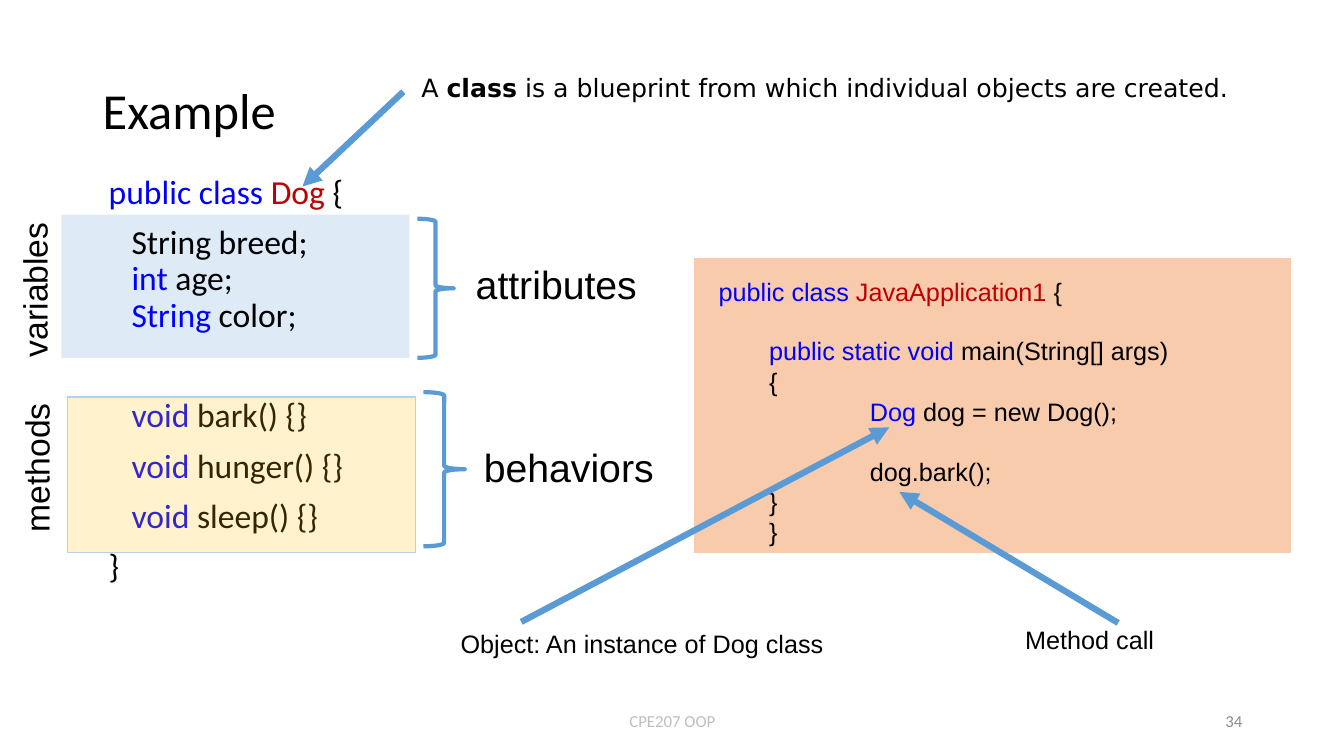
from lxml import etree
from pptx import Presentation
from pptx.dml.color import RGBColor
from pptx.enum.shapes import MSO_CONNECTOR as Connector, MSO_SHAPE as Shape
from pptx.enum.text import MSO_ANCHOR as Anchor, PP_ALIGN as Align
from pptx.oxml.ns import qn
from pptx.util import Emu, Pt

PX = 9144  # 100 px to the inch
BLACK, KEYWORD, NAME, ACCENT = "000000", "0000FF", "C00000", "5B9BD5"


def px(*lengths):
    return [Emu(length * PX) for length in lengths]


def paint(target, colour):
    target.rgb = RGBColor.from_string(colour)


def add_text(slide, place, lines, size=18, font="Arial", colour=BLACK, align=Align.LEFT,
             anchor=Anchor.TOP, spacing=1.0, wrap=True, rotation=0):
    """Each line is a string, or a dict with spans, before (pt) and indent (px).

    A span is a string, or a tuple of text, colour and optional bold.
    """
    box = slide.shapes.add_textbox(*px(*place))
    box.rotation = rotation
    frame = box.text_frame
    frame.word_wrap = wrap
    frame.vertical_anchor = anchor
    for index, line in enumerate([lines] if isinstance(lines, str) else lines):
        if isinstance(line, str):
            line = {"spans": [line]}
        para = frame.paragraphs[0] if index == 0 else frame.add_paragraph()
        para.alignment = align
        para.line_spacing = spacing
        para.space_before = Pt(line.get("before", 0))
        if "indent" in line:
            properties = para._p.get_or_add_pPr()
            properties.set("marL", str(line["indent"] * PX))
            properties.set("indent", "0")
        for part in line["spans"]:
            text, tint, bold = ((part, colour) if isinstance(part, str) else part)[:2] + (
                len(part) == 3 and not isinstance(part, str),)
            span = para.add_run()
            span.text = text
            span.font.size = Pt(size)
            span.font.name = font
            span.font.bold = bold
            paint(span.font.color, tint)


def add_shape(slide, kind, place, fill=None, opacity=100, line=None, width=1):
    shape = slide.shapes.add_shape(kind, *px(*place))
    shape.shadow.inherit = False
    if fill:
        shape.fill.solid()
        paint(shape.fill.fore_color, fill)
        if opacity < 100:
            tint = shape.fill._xPr.find(f".//{qn('a:srgbClr')}")
            etree.SubElement(tint, qn("a:alpha"), val=str(opacity * 1000))
    else:
        shape.fill.background()
    if line:
        paint(shape.line.color, line)
        shape.line.width = Pt(width)
    else:
        shape.line.fill.background()


def add_arrow(slide, *ends):
    arrow = slide.shapes.add_connector(Connector.STRAIGHT, *px(*ends))
    paint(arrow.line.color, ACCENT)
    arrow.line.width = Pt(4.5)
    etree.SubElement(arrow.line._get_or_add_ln(), qn("a:tailEnd"), type="triangle")
    etree.SubElement(arrow._element.spPr, qn("a:effectLst"))


def method_line(name, before):
    return {"spans": [("   void", KEYWORD), f" {name}() {{}}"], "before": before}


def main():
    deck = Presentation()
    deck.slide_width, deck.slide_height = px(1333, 750)
    slide = deck.slides.add_slide(deck.slide_layouts[6])

    # Panels behind the code
    add_shape(slide, Shape.RECTANGLE, (688, 255, 593, 294), "F8CBAD", line="FFFFFF")
    add_shape(slide, Shape.RECTANGLE, (61, 213, 345, 142), ACCENT, opacity=20)

    # Title and definition
    add_text(slide, (92, 40, 1150, 145), "Example", size=36, font="Calibri",
             anchor=Anchor.MIDDLE, spacing=0.9)
    add_text(slide, (408, 67, 875, 40),
             [{"spans": ["A ", ("class", BLACK, True),
                         " is a blueprint from which individual objects are created."]}],
             font="DejaVu Sans")

    # Dog class
    add_text(slide, (98, 169, 292, 432), [
        {"spans": [("public class ", KEYWORD), ("Dog", NAME), " {"]},
        {"spans": ["   String breed;"], "before": 10},
        {"spans": [("   int", KEYWORD), " age;"]},
        {"spans": [("   String", KEYWORD), " color;"]},
        method_line("bark", 46),
        method_line("hunger", 10),
        method_line("sleep", 10),
        {"spans": ["}"], "before": 10},
    ], size=24, font="Calibri", spacing=0.9)
    add_shape(slide, Shape.RECTANGLE, (67, 394, 345, 154), "FFC000", opacity=20, line="B5D2EC")

    # Braces and their labels
    for place in ((414, 217, 36, 138), (420, 389, 41, 153)):
        add_shape(slide, Shape.RIGHT_BRACE, place, line=ACCENT, width=3)
    add_text(slide, (462, 253, 182, 57), "attributes", size=28, wrap=False)
    add_text(slide, (470, 435, 191, 57), "behaviors", size=28, wrap=False)
    add_text(slide, (-43, 261, 155, 51), "variables", size=24, wrap=False, rotation=270)
    add_text(slide, (-38, 438, 149, 51), "methods", size=24, wrap=False, rotation=270)

    # Application class
    add_text(slide, (703, 269, 517, 283), [
        {"spans": [("public class ", KEYWORD), ("JavaApplication1", NAME), " {"]},
        {"spans": [("public static void", KEYWORD), " main(String[] args)"],
         "before": 21, "indent": 50},
        {"spans": ["{"], "indent": 50},
        {"spans": [("Dog ", KEYWORD), "dog = new Dog();"], "indent": 150},
        {"spans": ["dog.bark();"], "before": 21, "indent": 150},
        {"spans": ["}"], "indent": 50},
        {"spans": ["}"], "indent": 50},
    ])

    # Arrows and their captions
    add_arrow(slide, 400, 91, 300, 185)
    add_arrow(slide, 517, 617, 882, 424)
    add_arrow(slide, 1109, 618, 892, 488)
    add_text(slide, (447, 618, 383, 40), "Object: An instance of Dog class", wrap=False)
    add_text(slide, (1007, 614, 149, 40), "Method call", wrap=False)

    # Footer
    add_text(slide, (442, 695, 450, 40), "CPE207 OOP", size=12, font="Calibri",
             colour="BFBFBF", align=Align.CENTER, anchor=Anchor.MIDDLE)
    add_text(slide, (942, 695, 300, 40), "34", size=12, font="Calibri",
             colour="8C8C8C", align=Align.RIGHT, anchor=Anchor.MIDDLE)

    deck.save("out.pptx")


if __name__ == "__main__":
    main()
